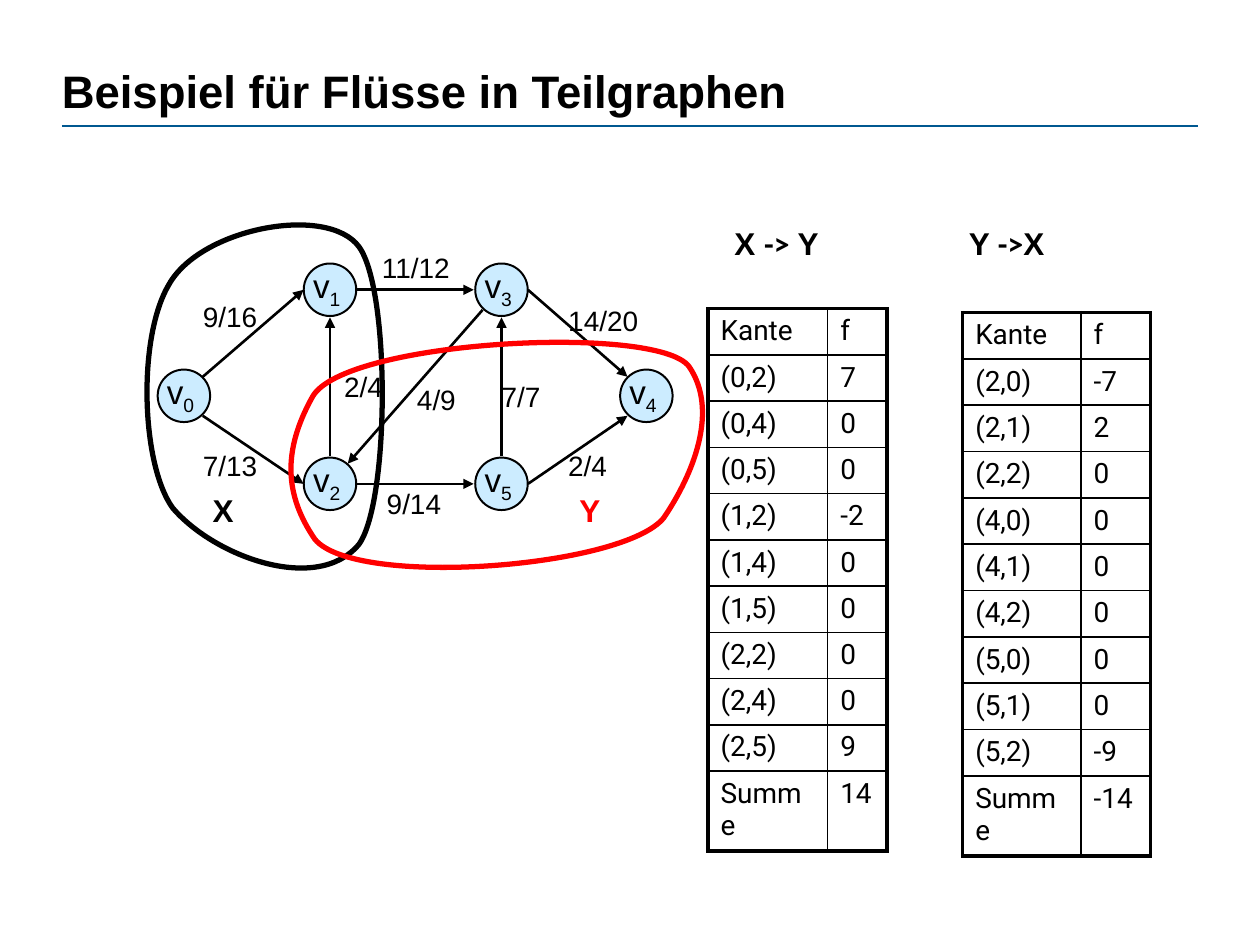
from lxml.etree import SubElement
from pptx import Presentation
from pptx.dml.color import RGBColor
from pptx.enum.shapes import MSO_CONNECTOR, MSO_SHAPE
from pptx.oxml.ns import qn
from pptx.util import Pt

BLACK = RGBColor(0x00, 0x00, 0x00)
RED = RGBColor(0xFF, 0x00, 0x00)
RULE_BLUE = RGBColor(0x00, 0x58, 0x90)
NODE_BLUE = RGBColor(0xCC, 0xEC, 0xFF)

NODE_SIZE = 30
NODES = [(27.1, 110.2), (110.6, 49.6), (110.6, 160.5),
         (208.6, 49.6), (291.4, 110.2), (208.6, 160.5)]
EDGES = [
    ((37.9, 99.3), (95.5, 49.6), "9/16", (37.9, 55.4)),
    ((37.9, 121.6), (95.5, 160.5), "7/13", (37.9, 140.3)),
    ((125.8, 49.6), (192.7, 49.6), "11/12", (140.2, 27.3)),
    ((125.8, 160.5), (192.7, 160.5), "9/14", (143, 161.9)),
    ((223.7, 160.5), (280.6, 121.6), "2/4", (246.7, 140.3)),
    ((223.7, 49.6), (280.6, 99.3), "14/20", (246.7, 57.5)),
    ((208.6, 144.6), (208.6, 65.4), "7/7", (208.6, 100.7)),
    ((197.8, 61.1), (120.7, 149), "4/9", (160.3, 102.9)),
    ((110.6, 144.6), (110.6, 65.4), "2/4", (118.6, 95)),
]
X_OUTLINE = [
    (18.5, 46.7), (36.5, 14.3), (109.2, 0.6), (127.2, 25.1), (145.2, 50.3),
    (144.5, 170.6), (127.2, 195), (103.4, 223.8), (44.4, 202.2),
    (20.6, 174.2), (2.6, 149), (0.5, 77), (18.5, 46.7)]
Y_OUTLINE = [
    (100.6, 110.8), (118.6, 78.4), (297.8, 69), (315.8, 93.5), (333.1, 118.7),
    (318, 155.4), (301.4, 179.9), (278.4, 208.7), (125, 220.2),
    (102, 192.2), (84.7, 167), (83.3, 141.8), (100.6, 110.8)]
SUBSETS = [("X", BLACK, X_OUTLINE, (36.5, 161.2)),
           ("Y", RED, Y_OUTLINE, (246, 161.2))]

X_TO_Y = [("Kante", "f"), ("(0,2)", "7"), ("(0,4)", "0"), ("(0,5)", "0"),
          ("(1,2)", "-2"), ("(1,4)", "0"), ("(1,5)", "0"), ("(2,2)", "0"),
          ("(2,4)", "0"), ("(2,5)", "9"), ("Summe", "14")]
Y_TO_X = [("Kante", "f"), ("(2,0)", "-7"), ("(2,1)", "2"), ("(2,2)", "0"),
          ("(4,0)", "0"), ("(4,1)", "0"), ("(4,2)", "0"), ("(5,0)", "0"),
          ("(5,1)", "0"), ("(5,2)", "-9"), ("Summe", "-14")]


def write(frame, text, size=16, font="Arial", color=BLACK, bold=False, baseline=None):
    """Append a formatted run to the first paragraph of a text frame."""
    run = frame.paragraphs[0].add_run()
    run.text = text
    run.font.size = Pt(size)
    run.font.name = font
    run.font.bold = bold
    run.font.color.rgb = color
    if baseline:
        run.font.element.set("baseline", str(baseline)) if hasattr(run.font, "element") \
            else run._r.get_or_add_rPr().set("baseline", str(baseline))


def add_frame(shapes, left, top, width, height, inset=True, wrap=False):
    """Add a text box and return its empty text frame."""
    frame = shapes.add_textbox(Pt(left), Pt(top), Pt(width), Pt(height)).text_frame
    frame.word_wrap = wrap
    if not inset:
        frame.margin_left = frame.margin_right = 0
        frame.margin_top = frame.margin_bottom = 0
    return frame


def add_line(shapes, start, end, color, width, arrow=False):
    """Draw a straight line, optionally with an arrowhead at its end."""
    line = shapes.add_connector(
        MSO_CONNECTOR.STRAIGHT, *(Pt(value) for value in (*start, *end)))
    line.line.color.rgb = color
    line.line.width = Pt(width)
    properties = line.element.spPr
    if arrow:
        SubElement(properties.find(qn("a:ln")), qn("a:tailEnd"), type="triangle")
    SubElement(properties, qn("a:effectLst"))


def add_title(slide, left, top, width, height):
    """Place the heading and the rule beneath it."""
    frame = add_frame(slide.shapes, left, top, width, height, inset=False, wrap=True)
    write(frame, "Beispiel für Flüsse in Teilgraphen", size=26, bold=True)
    rule_y = top + height
    add_line(slide.shapes, (left, rule_y), (left + width, rule_y), RULE_BLUE, 0.75)


def add_node(slide, center_x, center_y, index):
    """Place a circled vertex with its subscripted name."""
    node = slide.shapes.add_group_shape().shapes
    left, top = center_x - NODE_SIZE / 2, center_y - NODE_SIZE / 2
    circle = node.add_shape(
        MSO_SHAPE.OVAL, Pt(left), Pt(top), Pt(NODE_SIZE), Pt(NODE_SIZE))
    circle.shadow.inherit = False
    circle.fill.solid()
    circle.fill.fore_color.rgb = NODE_BLUE
    circle.line.color.rgb = BLACK
    circle.line.width = Pt(1.13)
    name = add_frame(node, left + 5.3, top + 0.7, 16.6, 23, inset=False)
    write(name, "v", size=19)
    write(name, str(index), size=19, baseline=-25000)


def add_outline(slide, points, color):
    """Draw a closed Bézier outline from a start and triples of control points."""
    units = [(x * 100, y * 100) for x, y in points]
    builder = slide.shapes.build_freeform(*units[0], scale=Pt(0.01))
    builder.add_line_segments(units[1:], close=True)
    outline = builder.convert_to_shape()
    outline.shadow.inherit = False
    outline.fill.background()
    outline.line.color.rgb = color
    outline.line.width = Pt(3)
    segments = outline.element.xpath(".//a:lnTo")
    for first in range(0, len(segments), 3):
        curve = segments[first].makeelement(qn("a:cubicBezTo"))
        segments[first].addprevious(curve)
        for segment in segments[first:first + 3]:
            curve.append(segment[0])
            segment.getparent().remove(segment)


def add_graph(slide, left, top):
    """Place the flow network with its two vertex subsets."""
    def shift(point):
        return left + point[0], top + point[1]

    for index, center in enumerate(NODES):
        add_node(slide, *shift(center), index)
    for start, end, flow, label_at in EDGES:
        width = 9 * (len(flow) - 1) + 4.5
        write(add_frame(slide.shapes, *shift(label_at), width, 19.4, inset=False), flow)
        add_line(slide.shapes, shift(start), shift(end), BLACK, 1.5, arrow=True)
    for _, color, outline, _ in SUBSETS:
        add_outline(slide, [shift(point) for point in outline], color)
    for name, color, _, label_at in SUBSETS:
        frame = add_frame(slide.shapes, *shift(label_at), 26.6, 28.8)
        write(frame, name, size=18, color=color, bold=True)


def add_borders(cell, **widths):
    """Give a cell black borders of the given widths."""
    properties = cell._tc.get_or_add_tcPr()
    for side in "LRTB":
        border = SubElement(properties, qn(f"a:ln{side}"), w=str(Pt(widths[side])))
        SubElement(SubElement(border, qn("a:solidFill")), qn("a:srgbClr"), val=str(BLACK))


def add_flow_table(slide, left, top, column_widths, row_height, sum_height, rows):
    """Place a table of edges and flows with a heavy outer frame."""
    last = len(rows) - 1
    height = row_height * last + sum_height
    table = slide.shapes.add_table(
        len(rows), 2, Pt(left), Pt(top), Pt(sum(column_widths)), Pt(height)).table
    table.first_row = table.horz_banding = False
    for column, width in zip(table.columns, column_widths):
        column.width = Pt(width)
    for r, values in enumerate(rows):
        table.rows[r].height = Pt(sum_height if r == last else row_height)
        for c, value in enumerate(values):
            cell = table.cell(r, c)
            write(cell.text_frame, value, font="Roboto")
            add_borders(cell, L=1 if c else 2.25, R=2.25 if c else 1,
                        T=1 if r else 2.25, B=2.25 if r == last else 1)
            cell.fill.background()


def add_direction(slide, left, top, width, source, target):
    """Place the heading that names the direction of a flow table."""
    frame = add_frame(slide.shapes, left, top, width, 28.8)
    for text, font in ((source, "Arial"), ("->", "Calibri"), (target, "Arial")):
        write(frame, text, size=18, font=font, bold=True)


def main():
    """Build the slide and save it."""
    deck = Presentation()
    deck.slide_width, deck.slide_height = Pt(720), Pt(540)
    slide = deck.slides.add_slide(deck.slide_layouts[6])
    add_title(slide, 35.3, 36, 649.4, 36)
    add_graph(slide, 78, 116)
    add_flow_table(slide, 404.6, 176.4, (68.4, 33.8), 25.8, 44, X_TO_Y)
    add_flow_table(slide, 550.1, 178.6, (67.7, 39.6), 26.5, 45.7, Y_TO_X)
    add_direction(slide, 412.6, 124.6, 63.4, "X ", " Y")
    add_direction(slide, 546.5, 124.6, 58.3, "Y ", "X")
    deck.save("out.pptx")


if __name__ == "__main__":
    main()
